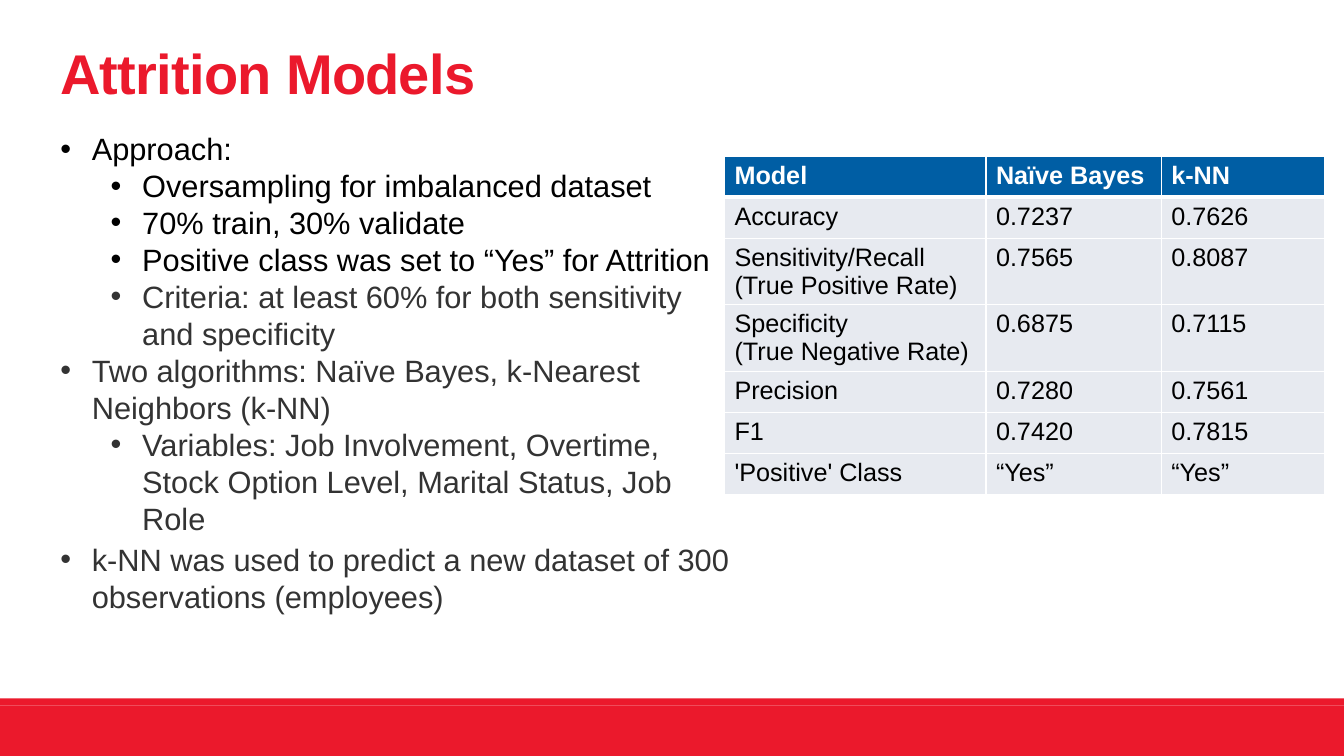
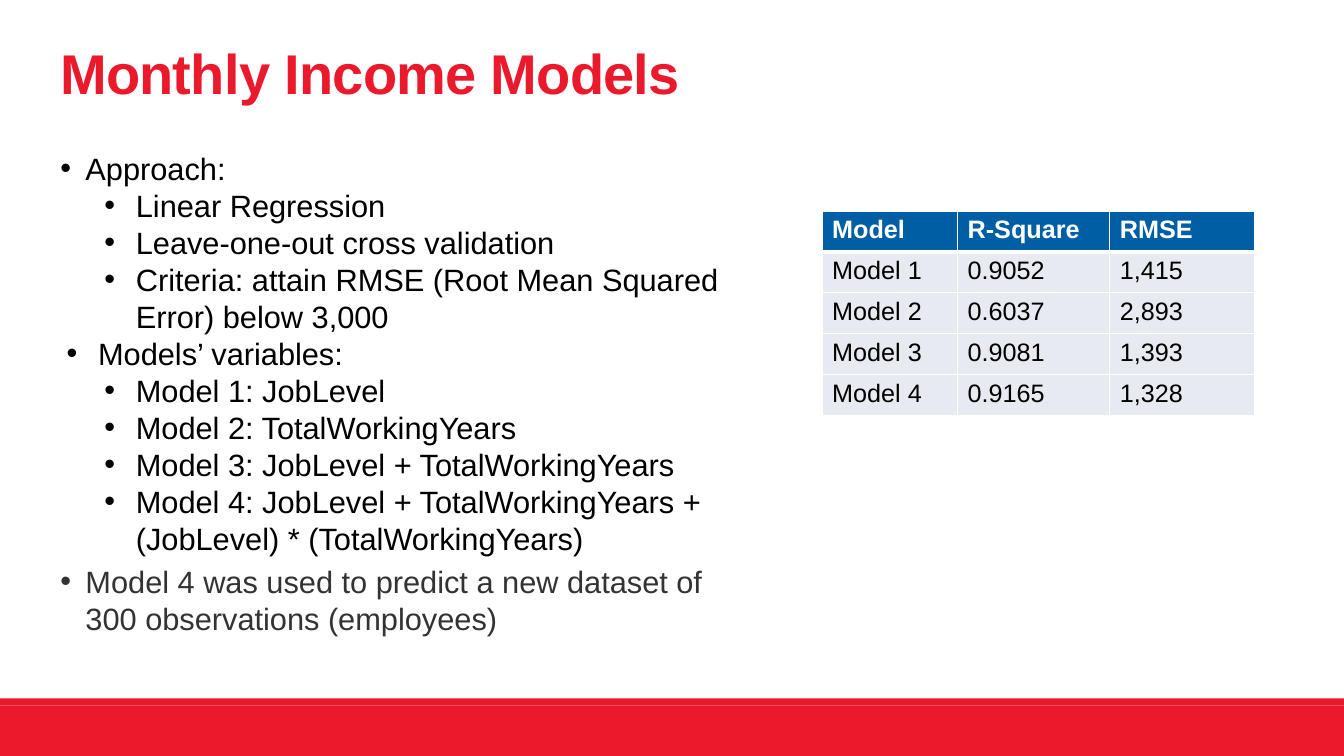
from lxml import etree
from pptx import Presentation
from pptx.dml.color import RGBColor
from pptx.enum.shapes import MSO_SHAPE
from pptx.enum.text import MSO_ANCHOR, MSO_AUTO_SIZE
from pptx.oxml.ns import qn
from pptx.util import Emu, Pt

# Shared style: 96 px to the inch
PX = 9525
WIDTH, HEIGHT = 1280, 720
LEFT = 48
ROW_HEIGHT = 39
HANG = 30
FONT = "Arial"
RED = RGBColor(0xEB, 0x19, 0x2C)
BLUE = RGBColor(0x00, 0x5E, 0xA4)
PALE = RGBColor(0xE7, 0xEA, 0xF0)
GREY = RGBColor(0x33, 0x33, 0x33)
BLACK = RGBColor(0x00, 0x00, 0x00)
WHITE = RGBColor(0xFF, 0xFF, 0xFF)


def px(n):
    return Emu(n * PX)


def add_run(p, text, size, color, bold=False):
    r = p.add_run()
    r.text = text
    r.font.name = FONT
    r.font.size = Pt(size)
    r.font.bold = bold
    r.font.color.rgb = color
    return r


def add_text_frame(s, x, y, w, h):
    tf = s.shapes.add_textbox(px(x), px(y), px(w), px(h)).text_frame
    tf.word_wrap = True
    return tf


def add_band(s, y, h):
    sp = s.shapes.add_shape(MSO_SHAPE.RECTANGLE, 0, px(y), px(WIDTH), px(h))
    sp.shadow.inherit = False
    sp.fill.solid()
    sp.fill.fore_color.rgb = RED
    sp.line.fill.background()


def add_base_slide(prs, title):
    """Blank slide with the footer bands and a title."""
    s = prs.slides.add_slide(prs.slide_layouts[6])
    add_band(s, 672, 48)
    add_band(s, 665, 7)
    tf = add_text_frame(s, LEFT, 14, 1056, 92)
    tf.vertical_anchor = MSO_ANCHOR.BOTTOM
    p = tf.paragraphs[0]
    p.line_spacing = 0.85
    r = add_run(p, title, 40, RED, bold=True)
    r.font._element.set("spc", "-50")
    return s


def set_bullet(p, indent):
    pPr = p._p.get_or_add_pPr()
    pPr.set("marL", str(px(indent)))
    pPr.set("indent", str(px(-HANG)))
    etree.SubElement(pPr, qn("a:buFont"), typeface=FONT)
    etree.SubElement(pPr, qn("a:buChar"), char="•")


def add_bullets(s, y, w, h, items):
    """Each item is (level, indent, text, color)."""
    tf = add_text_frame(s, LEFT, y, w, h)
    tf.auto_size = MSO_AUTO_SIZE.SHAPE_TO_FIT_TEXT
    for i, (level, indent, text, color) in enumerate(items):
        p = tf.add_paragraph() if i else tf.paragraphs[0]
        set_bullet(p, indent)
        p.level = level
        add_run(p, text, 22, color)


def set_borders(cell, top, bottom):
    tcPr = cell._tc.get_or_add_tcPr()
    for side, width in (("L", 1), ("R", 1), ("T", top), ("B", bottom)):
        ln = etree.SubElement(tcPr, qn(f"a:ln{side}"), w=str(Pt(width)))
        fill = etree.SubElement(ln, qn("a:solidFill"))
        etree.SubElement(fill, qn("a:srgbClr"), val=str(WHITE))


def fill_cell(cell, text, row):
    header = row == 0
    set_borders(cell, 3 if row == 1 else 1, 3 if header else 1)
    cell.fill.solid()
    cell.fill.fore_color.rgb = BLUE if header else PALE
    cell.margin_bottom = px(1)
    tf = cell.text_frame
    for i, line in enumerate(text.split("\n")):
        p = tf.add_paragraph() if i else tf.paragraphs[0]
        add_run(p, line, 18, WHITE if header else BLACK, bold=header)


def add_model_table(s, x, y, widths, rows):
    frame = s.shapes.add_table(len(rows), len(widths), px(x), px(y),
                               px(sum(widths)), px(ROW_HEIGHT * len(rows)))
    table = frame.table
    for column, width in zip(table.columns, widths):
        column.width = px(width)
    for i, row in enumerate(rows):
        table.rows[i].height = px(ROW_HEIGHT)
        for j, text in enumerate(row):
            fill_cell(table.cell(i, j), text, i)


def attrition_slide(prs):
    s = add_base_slide(prs, "Attrition Models")
    add_model_table(s, 690, 149, (249, 167, 156), [
        ("Model", "Naïve Bayes", "k-NN"),
        ("Accuracy", "0.7237", "0.7626"),
        ("Sensitivity/Recall\n(True Positive Rate)", "0.7565", "0.8087"),
        ("Specificity\n(True Negative Rate)", "0.6875", "0.7115"),
        ("Precision", "0.7280", "0.7561"),
        ("F1", "0.7420", "0.7815"),
        ("'Positive' Class", "“Yes”", "“Yes”"),
    ])
    main, sub = 30, 78
    add_bullets(s, 119, 656, 400, [
        (0, main, "Approach:", BLACK),
        (1, sub, "Oversampling for imbalanced dataset", BLACK),
        (1, sub, "70% train, 30% validate", BLACK),
        (1, sub, "Positive class was set to “Yes” for Attrition", BLACK),
        (1, sub, "Criteria: at least 60% for both sensitivity and specificity", GREY),
        (0, main, "Two algorithms: Naïve Bayes, k-Nearest Neighbors (k-NN)", GREY),
        (1, sub, "Variables: Job Involvement, Overtime, Stock Option Level, "
                 "Marital Status, Job Role", GREY),
    ])
    add_bullets(s, 510, 656, 81, [
        (0, main, "k-NN was used to predict a new dataset of 300 "
                  "observations (employees)", GREY),
    ])


def income_slide(prs):
    s = add_base_slide(prs, "Monthly Income Models")
    add_model_table(s, 783, 201, (129, 145, 138), [
        ("Model", "R-Square", "RMSE"),
        ("Model 1", "0.9052", "1,415"),
        ("Model 2", "0.6037", "2,893"),
        ("Model 3", "0.9081", "1,393"),
        ("Model 4", "0.9165", "1,328"),
    ])
    main, variables, sub = 24, 36, 72
    add_bullets(s, 138, 676, 400, [
        (0, main, "Approach:", BLACK),
        (1, sub, "Linear Regression", BLACK),
        (1, sub, "Leave-one-out cross validation", BLACK),
        (1, sub, "Criteria: attain RMSE (Root Mean Squared Error) below 3,000", BLACK),
        (0, variables, "Models’ variables:", BLACK),
        (1, sub, "Model 1: JobLevel", BLACK),
        (1, sub, "Model 2: TotalWorkingYears", BLACK),
        (1, sub, "Model 3: JobLevel + TotalWorkingYears", BLACK),
        (1, sub, "Model 4: JobLevel + TotalWorkingYears + "
                 "(JobLevel) * (TotalWorkingYears)", BLACK),
    ])
    add_bullets(s, 531, 676, 81, [
        (0, main, "Model 4 was used to predict a new dataset of 300 "
                  "observations (employees)", GREY),
    ])


def main():
    prs = Presentation()
    prs.slide_width, prs.slide_height = px(WIDTH), px(HEIGHT)
    attrition_slide(prs)
    income_slide(prs)
    prs.save("out.pptx")


if __name__ == "__main__":
    main()
